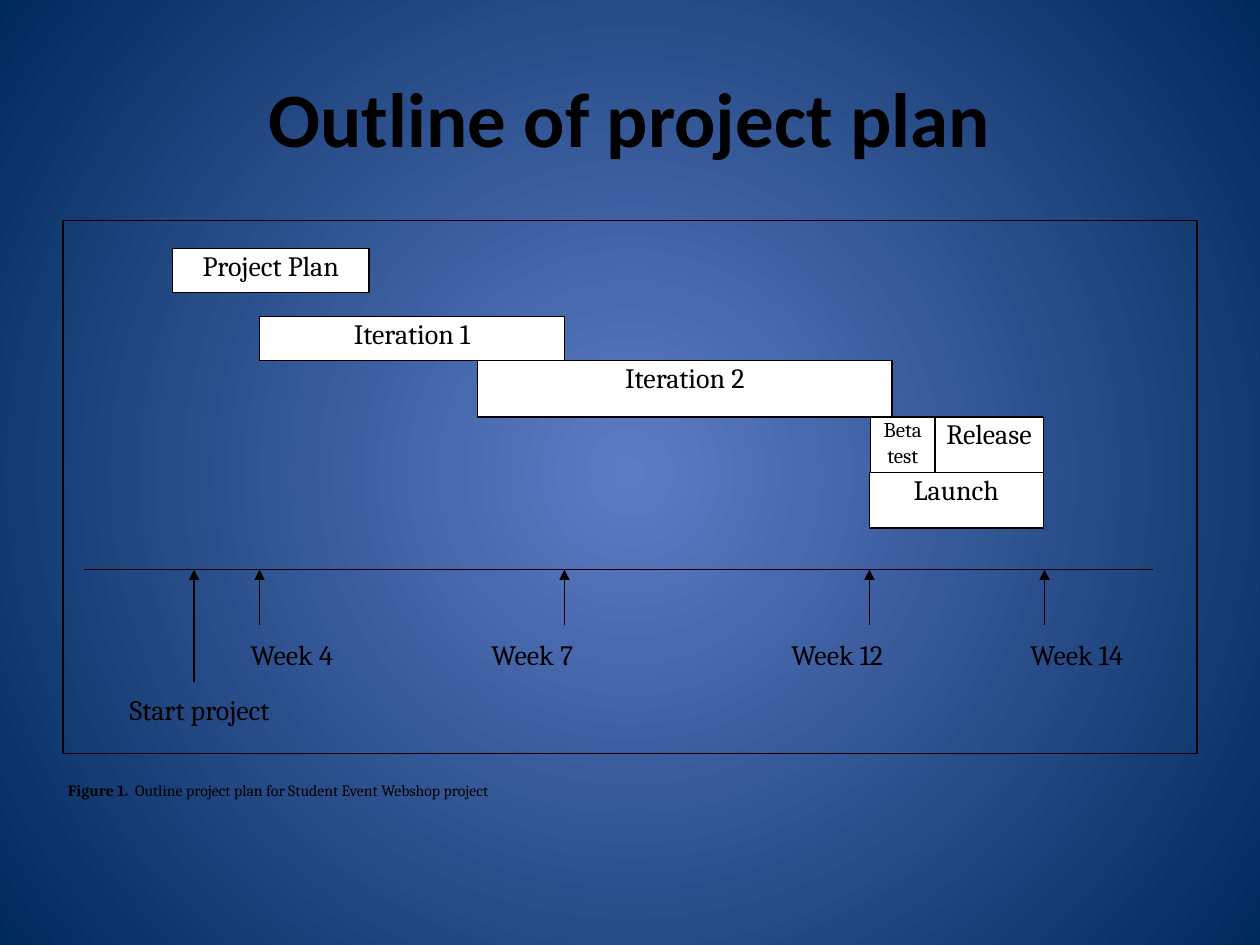
from lxml import etree
from pptx import Presentation
from pptx.dml.color import RGBColor
from pptx.enum import shapes, text
from pptx.oxml.ns import qn
from pptx.util import Inches, Pt

BLACK = RGBColor(0x00, 0x00, 0x00)
WHITE = RGBColor(0xFF, 0xFF, 0xFF)
GLOW = RGBColor(0x5E, 0x7C, 0xC5)
NAVY = RGBColor(0x00, 0x29, 0x5C)

AXIS_Y = 4.52
TICK_Y = 4.96
LABEL_Y = 5.06
LABEL_W = 1.21

# Label, left, top, width, height, text size
BARS = [
    ("Project Plan", 1.37, 1.97, 1.56, 0.35, 16),
    ("Iteration 1", 2.06, 2.51, 2.42, 0.35, 16),
    ("Release", 7.42, 3.31, 0.86, 0.44, 16),
    ("Launch", 6.9, 3.75, 1.38, 0.44, 16),
    ("Beta test", 6.91, 3.31, 0.51, 0.44, 12),
    ("Iteration 2", 3.79, 2.86, 3.29, 0.45, 16),
]

# Label, arrow position, label left
WEEKS = [
    ("Week 4", 2.06, 1.71),
    ("Week 7", 4.48, 3.62),
    ("Week 12", 6.9, 6.04),
    ("Week 14", 8.29, 7.94),
]


def set_background(slide):
    fill = slide.background.fill
    fill.gradient()
    for stop, color in zip(fill.gradient_stops, (GLOW, NAVY)):
        stop.color.rgb = color
    # Radial gradient from the centre
    grad = next(slide.element.iter(qn("a:gradFill")))
    grad.remove(grad.find(qn("a:lin")))
    circle = etree.SubElement(grad, qn("a:path"), path="circle")
    etree.SubElement(circle, qn("a:fillToRect"),
                     l="50000", t="50000", r="50000", b="50000")


def write(sp, runs, size, font="Cambria", align=text.PP_ALIGN.CENTER,
          anchor=text.MSO_ANCHOR.TOP):
    """Fill a shape with (wording, bold) runs."""
    tf = sp.text_frame
    tf.word_wrap = True
    tf.vertical_anchor = anchor
    tf.margin_left = tf.margin_right = Inches(0.04)
    tf.margin_top = tf.margin_bottom = 0
    p = tf.paragraphs[0]
    p.alignment = align
    for wording, bold in runs:
        r = p.add_run()
        r.text = wording
        r.font.name = font
        r.font.size = Pt(size)
        r.font.bold = bold
        r.font.color.rgb = BLACK


def add_label(slide, runs, x, y, w, h, size=16, **style):
    sp = slide.shapes.add_textbox(Inches(x), Inches(y), Inches(w), Inches(h))
    write(sp, runs, size, **style)


def add_box(slide, x, y, w, h, color=None):
    sp = slide.shapes.add_shape(shapes.MSO_SHAPE.RECTANGLE, Inches(x),
                                Inches(y), Inches(w), Inches(h))
    sp.shadow.inherit = False
    if color is None:
        sp.fill.background()
    else:
        sp.fill.solid()
        sp.fill.fore_color.rgb = color
    sp.line.color.rgb = BLACK
    sp.line.width = Pt(0.75)
    return sp


def add_line(slide, x1, y1, x2, y2, arrow=False):
    line = slide.shapes.add_connector(shapes.MSO_CONNECTOR.STRAIGHT, Inches(x1),
                                      Inches(y1), Inches(x2), Inches(y2))
    line.line.color.rgb = BLACK
    line.line.width = Pt(0.75)
    if arrow:
        etree.SubElement(line.line._get_or_add_ln(), qn("a:tailEnd"),
                         type="triangle")
    etree.SubElement(line.element.spPr, qn("a:effectLst"))


def main():
    prs = Presentation()
    prs.slide_width, prs.slide_height = Inches(10), Inches(7.5)
    s = prs.slides.add_slide(prs.slide_layouts[6])
    set_background(s)

    # Title and caption
    add_label(s, [("Outline of project plan", True)], 0.5, 0.3, 9, 1.25, 44,
              font="Calibri", anchor=text.MSO_ANCHOR.MIDDLE)
    add_label(s, [("Figure 1.", True),
                  ("  Outline project plan for Student Event Webshop project",
                   False)],
              0.5, 6.2, 6.4, 0.5, 9, align=text.PP_ALIGN.LEFT)

    # Frame and phases
    add_box(s, 0.5, 1.75, 9, 4.23)
    for name, x, y, w, h, size in BARS:
        write(add_box(s, x, y, w, h, WHITE), [(name, False)], size)

    # Time axis with milestones
    add_line(s, 0.67, AXIS_Y, 9.15, AXIS_Y)
    add_line(s, 1.54, 5.41, 1.54, AXIS_Y, arrow=True)
    add_label(s, [("Start project", False)], 0.85, 5.5, 1.47, 0.35)
    for name, x, left in WEEKS:
        add_line(s, x, TICK_Y, x, AXIS_Y, arrow=True)
        add_label(s, [(name, False)], left, LABEL_Y, LABEL_W, 0.35)

    prs.save("out.pptx")


main()
